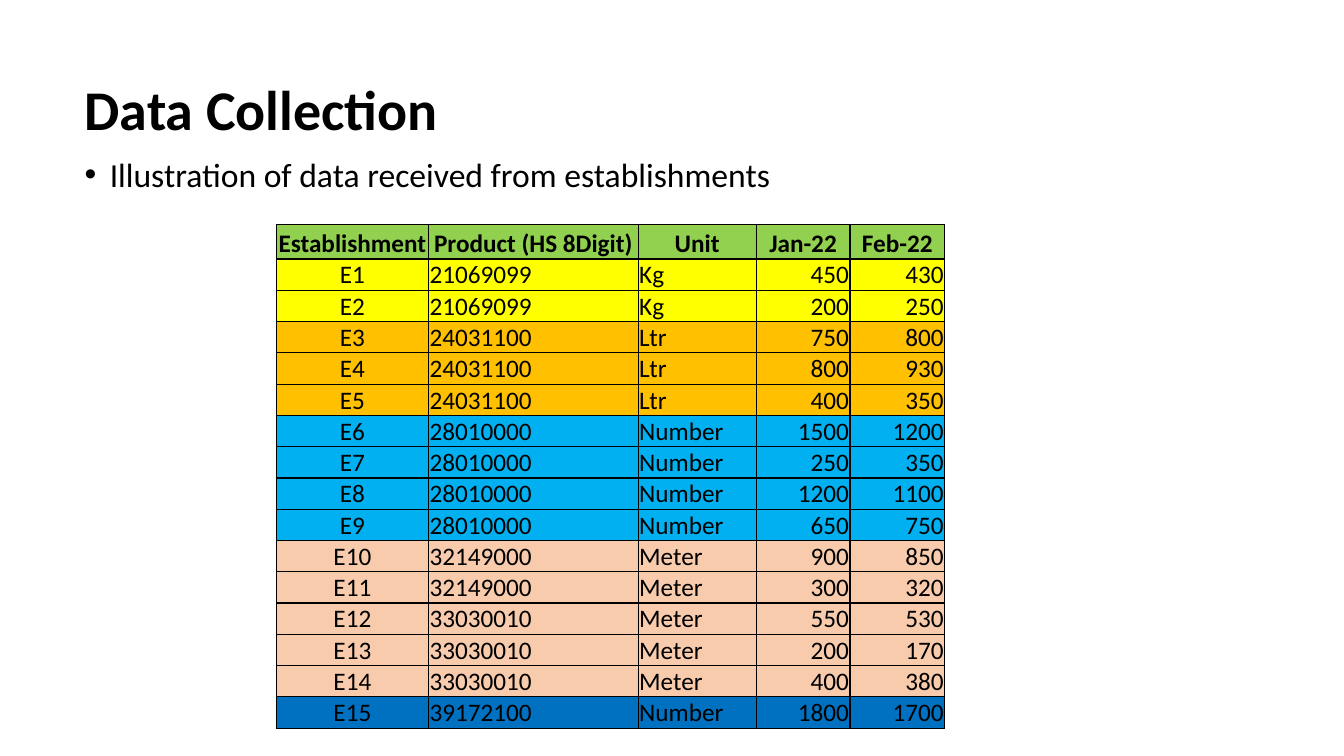
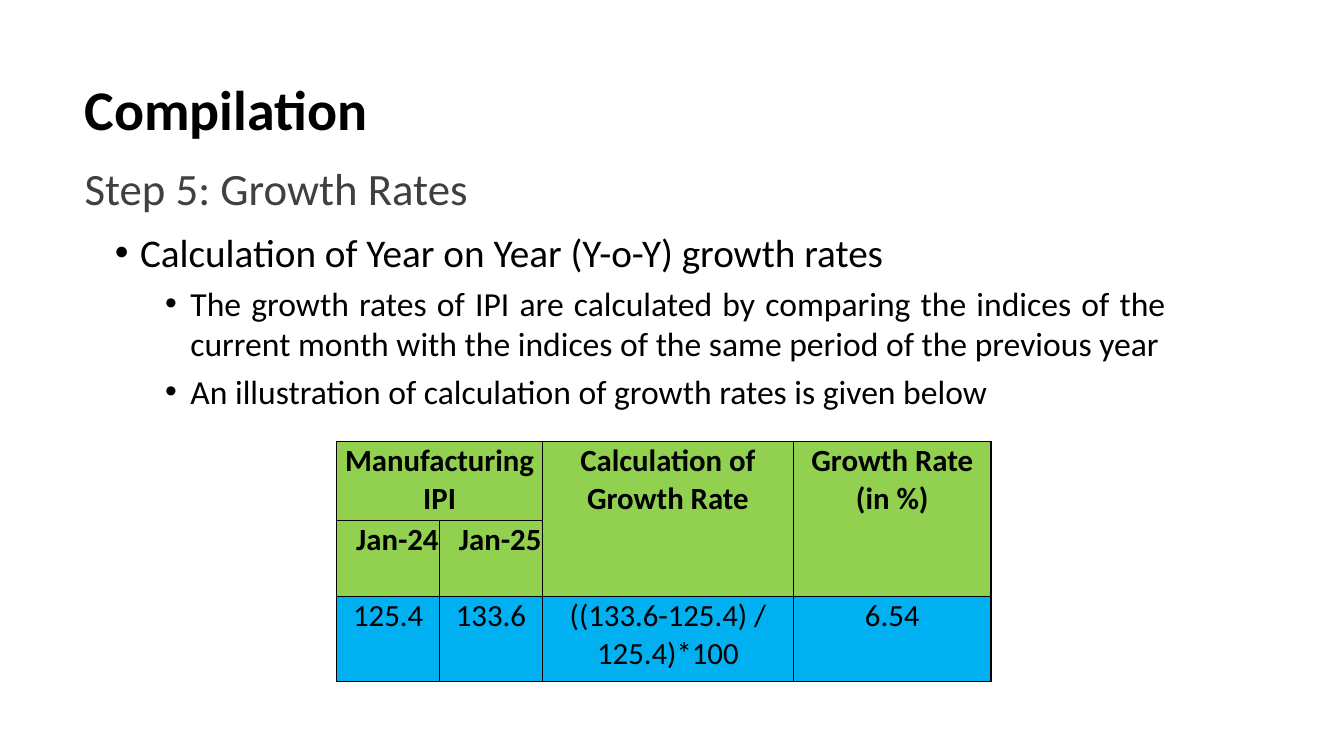
from lxml import etree
from pptx import Presentation
from pptx.dml.color import RGBColor
from pptx.enum import text
from pptx.oxml import ns
from pptx.util import Inches, Pt

BLACK = RGBColor(0x00, 0x00, 0x00)
GRAY = RGBColor(0x40, 0x40, 0x40)
GREEN = RGBColor(0x92, 0xD0, 0x50)
YELLOW = RGBColor(0xFF, 0xFF, 0x00)
ORANGE = RGBColor(0xFF, 0xC0, 0x00)
SKY = RGBColor(0x00, 0xB0, 0xF0)
PEACH = RGBColor(0xF8, 0xCB, 0xAD)
BLUE = RGBColor(0x00, 0x70, 0xC0)

LEFT, CENTER, RIGHT, JUSTIFY = (
    text.PP_ALIGN.LEFT, text.PP_ALIGN.CENTER, text.PP_ALIGN.RIGHT, text.PP_ALIGN.JUSTIFY)
TOP, MIDDLE, BOTTOM = (
    text.MSO_ANCHOR.TOP, text.MSO_ANCHOR.MIDDLE, text.MSO_ANCHOR.BOTTOM)


def write(paragraph, words, size, alignment=LEFT, bold=False, color=BLACK):
    run = paragraph.add_run()
    run.text = words
    paragraph.alignment = alignment
    for name, value in {"name": "Calibri", "size": Pt(size), "bold": bold}.items():
        setattr(run.font, name, value)
    run.font.color.rgb = color


def format_cell(cell, fill, anchor):
    margins = {"margin_left": 0.01, "margin_right": 0.01, "margin_top": 0.01, "margin_bottom": 0}
    for name, value in margins.items():
        setattr(cell, name, Inches(value))
    cell.vertical_anchor = anchor
    properties = cell._tc.get_or_add_tcPr()
    for side in ("a:lnL", "a:lnR", "a:lnT", "a:lnB"):
        line = etree.SubElement(properties, ns.qn(side), w=str(Pt(1)))
        line_fill = etree.SubElement(line, ns.qn("a:solidFill"))
        etree.SubElement(line_fill, ns.qn("a:srgbClr"), val=str(BLACK))
    cell.fill.solid()
    cell.fill.fore_color.rgb = fill


establishments = [
    ("21069099", "Kg", YELLOW, [(450, 430), (200, 250)]),
    ("24031100", "Ltr", ORANGE, [(750, 800), (800, 930), (400, 350)]),
    ("28010000", "Number", SKY, [(1500, 1200), (250, 350), (1200, 1100), (650, 750)]),
    ("32149000", "Meter", PEACH, [(900, 850), (300, 320)]),
    ("33030010", "Meter", PEACH, [(550, 530), (200, 170), (400, 380)]),
    ("39172100", "Number", BLUE, [(1800, 1700)]),
]
collection_rows = [["Establishment", "Product (HS 8Digit)", "Unit", "Jan-22", "Feb-22"]]
collection_fills = [GREEN]
for product, unit, fill, outputs in establishments:
    for january, february in outputs:
        collection_rows.append(
            [f"E{len(collection_rows)}", product, unit, str(january), str(february)])
        collection_fills.append(fill)

growth_rows = [
    ["Manufacturing IPI", "", "Calculation of Growth Rate", "Growth Rate (in %)"],
    ["Jan-24", "Jan-25", "", ""],
    ["125.4", "133.6", "((133.6-125.4) / 125.4)*100", "6.54"],
]

slides = [
    {
        "title": "Data Collection",
        "boxes": [
            {"at": (0.74, 1.52, 10.62, 0.61), "paragraphs": [
                {"words": "Illustration of data received from establishments", "size": 24,
                 "indent": 0.25, "before": 10, "spacing": 0.9}]},
        ],
        "table": {
            "at": (2.74, 2.23), "columns": [1.51, 2.08, 1.17, 0.93, 0.94],
            "heights": [0.34] + [0.31] * 15, "rows": collection_rows,
            "fills": collection_fills, "size": 18, "anchor": BOTTOM, "header_rows": 1,
            "alignments": [[CENTER] * 5] + [[CENTER, LEFT, LEFT, RIGHT, RIGHT]] * 15,
            "merges": [],
        },
    },
    {
        "title": "Compilation",
        "boxes": [
            {"at": (1.04, 2.22, 10.62, 1.92), "paragraphs": [
                {"words": "Calculation of Year on Year (Y-o-Y) growth rates", "size": 28,
                 "alignment": JUSTIFY, "indent": 0.25, "before": 10},
                {"words": "The growth rates of IPI are calculated by comparing the indices of "
                          "the current month with the indices of the same period of the "
                          "previous year",
                 "size": 24, "alignment": JUSTIFY, "indent": 0.75, "before": 5, "level": 1},
                {"words": "An illustration of calculation of growth rates is given below",
                 "size": 24, "alignment": JUSTIFY, "indent": 0.75, "before": 5, "level": 1}]},
            {"at": (0.74, 1.55, 8.5, 0.67), "paragraphs": [
                {"words": "Step 5: Growth Rates", "size": 32, "color": GRAY, "before": 10}]},
        ],
        "table": {
            "at": (3.34, 4.38), "columns": [1.02, 1.02, 2.49, 1.96],
            "heights": [0.78, 0.76, 0.84], "rows": growth_rows,
            "fills": [GREEN, GREEN, SKY], "size": 22, "anchor": TOP, "header_rows": 2,
            "alignments": [[CENTER] * 4, [RIGHT] * 4, [CENTER] * 4],
            "merges": [((0, 0), (0, 1)), ((0, 2), (1, 2)), ((0, 3), (1, 3))],
        },
    },
]

presentation = Presentation()
presentation.slide_width = Inches(13.33)
presentation.slide_height = Inches(7.5)

for content in slides:
    slide = presentation.slides.add_slide(presentation.slide_layouts[5])
    title = slide.shapes.title
    title_place = {"left": 0.74, "top": 0.67, "width": 9.4, "height": 0.89}
    for name, value in title_place.items():
        setattr(title, name, Inches(value))
    title_format = {"vertical_anchor": MIDDLE, "word_wrap": True,
                    "auto_size": text.MSO_AUTO_SIZE.NONE}
    for name, value in title_format.items():
        setattr(title.text_frame, name, value)
    heading = title.text_frame.paragraphs[0]
    write(heading, content["title"], 40, bold=True)
    heading.line_spacing = 0.9

    for box in content["boxes"]:
        frame = slide.shapes.add_textbox(*map(Inches, box["at"])).text_frame
        frame.word_wrap = True
        for index, item in enumerate(box["paragraphs"]):
            paragraph = frame.add_paragraph() if index else frame.paragraphs[0]
            write(paragraph, item["words"], item["size"], item.get("alignment", LEFT),
                  color=item.get("color", BLACK))
            paragraph.level = item.get("level", 0)
            paragraph.space_before = Pt(item["before"])
            paragraph.line_spacing = item.get("spacing", 1.0)
            if "indent" in item:
                properties = paragraph._p.get_or_add_pPr()
                properties.set("marL", str(Inches(item["indent"])))
                properties.set("indent", str(Inches(-0.25)))
                etree.SubElement(properties, ns.qn("a:buFont"), typeface="Arial")
                etree.SubElement(properties, ns.qn("a:buChar"), char="•")

    grid = content["table"]
    table = slide.shapes.add_table(
        len(grid["rows"]), len(grid["columns"]), *map(Inches, grid["at"]),
        Inches(sum(grid["columns"])), Inches(sum(grid["heights"]))).table
    table.first_row = False
    table.horz_banding = False
    for column, width in zip(table.columns, grid["columns"]):
        column.width = Inches(width)
    for row, height in zip(table.rows, grid["heights"]):
        row.height = Inches(height)
    for start, end in grid["merges"]:
        table.cell(*start).merge(table.cell(*end))
    for row_index, words_in_row in enumerate(grid["rows"]):
        for column_index, words in enumerate(words_in_row):
            cell = table.cell(row_index, column_index)
            format_cell(cell, grid["fills"][row_index], grid["anchor"])
            if words:
                write(cell.text_frame.paragraphs[0], words, grid["size"],
                      grid["alignments"][row_index][column_index],
                      bold=row_index < grid["header_rows"])

presentation.save("out.pptx")
